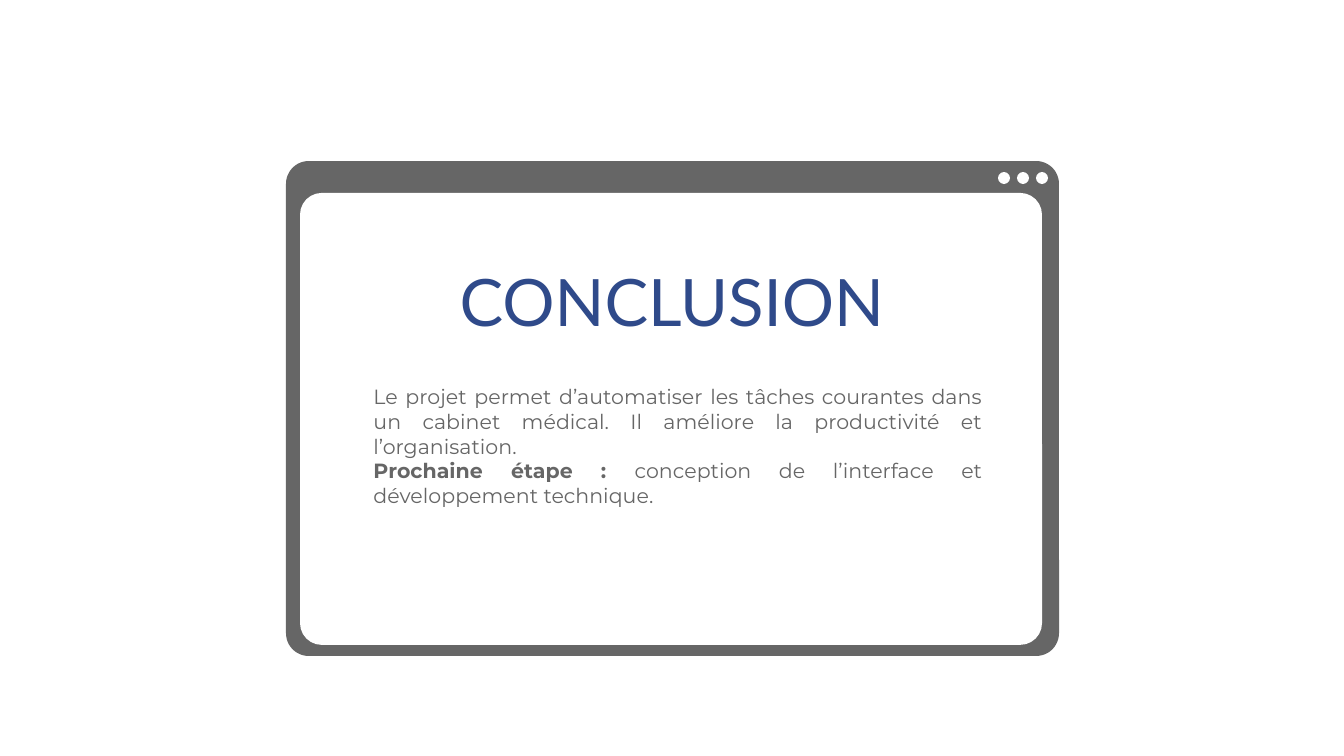
from pptx import Presentation
from pptx.dml.color import RGBColor
from pptx.enum.shapes import MSO_SHAPE
from pptx.enum.text import MSO_ANCHOR, MSO_AUTO_SIZE, PP_ALIGN
from pptx.util import Inches, Pt

PIXELS_PER_INCH = 134.4
GREY = "666666"
WHITE = "FFFFFF"
BLUE = "2F4A8A"


def px(length):
    return Inches(length / PIXELS_PER_INCH)


def color(hex_string):
    return RGBColor.from_string(hex_string)


def add_filled_shape(slide, kind, box, fill):
    shape = slide.shapes.add_shape(kind, *map(px, box))
    shape.shadow.inherit = False
    shape.fill.solid()
    shape.fill.fore_color.rgb = color(fill)
    shape.line.fill.background()
    return shape


def add_rounded_panel(slide, box, fill, rounding):
    panel = add_filled_shape(slide, MSO_SHAPE.ROUNDED_RECTANGLE, box, fill)
    panel.adjustments[0] = rounding


def add_window(slide):
    """Draw the window frame, its page and the three buttons."""
    add_rounded_panel(slide, (286, 161, 773, 495), GREY, 0.046)
    add_rounded_panel(slide, (300, 193, 742, 452), WHITE, 0.048)
    for index in range(3):
        add_filled_shape(slide, MSO_SHAPE.OVAL, (998 + 19 * index, 172, 12, 12), WHITE)


def fill_placeholder(placeholder, box, paragraphs, anchor, align, font, size, text_color):
    """Place and format a placeholder; paragraphs are lists of (text, bold) runs."""
    placeholder.left, placeholder.top, placeholder.width, placeholder.height = map(px, box)
    # Bring the text in front of the window
    placeholder.element.getparent().append(placeholder.element)
    frame = placeholder.text_frame
    frame.word_wrap = True
    frame.auto_size = MSO_AUTO_SIZE.NONE
    frame.vertical_anchor = anchor
    frame.margin_left = frame.margin_right = Inches(0.1)
    frame.margin_top = frame.margin_bottom = Inches(0.1)
    for index, runs in enumerate(paragraphs):
        paragraph = frame.add_paragraph() if index else frame.paragraphs[0]
        paragraph.alignment = align
        paragraph.space_before = Pt(0)
        paragraph.line_spacing = 1.0
        paragraph.font.name = font
        paragraph.font.size = Pt(size)
        paragraph.font.color.rgb = color(text_color)
        for text, bold in runs:
            run = paragraph.add_run()
            run.text = text
            if bold:
                run.font.bold = True


def main():
    presentation = Presentation()
    presentation.slide_width, presentation.slide_height = px(1344), px(756)
    slide = presentation.slides.add_slide(presentation.slide_layouts[0])
    add_window(slide)
    fill_placeholder(
        slide.shapes.title, (360, 228, 624, 125), [[("CONCLUSION", False)]],
        MSO_ANCHOR.BOTTOM, PP_ALIGN.CENTER, "Lato", 35, BLUE)
    body = [
        [("Le projet permet d’automatiser les tâches courantes dans un cabinet médical. "
          "Il améliore la productivité et l’organisation.", False)],
        [("Prochaine étape : ", True),
         ("conception de l’interface et développement technique.", False)],
    ]
    fill_placeholder(
        slide.placeholders[1], (360, 371, 636, 219), body,
        MSO_ANCHOR.TOP, PP_ALIGN.JUSTIFY, "Montserrat", 11, GREY)
    presentation.save("out.pptx")


if __name__ == "__main__":
    main()
